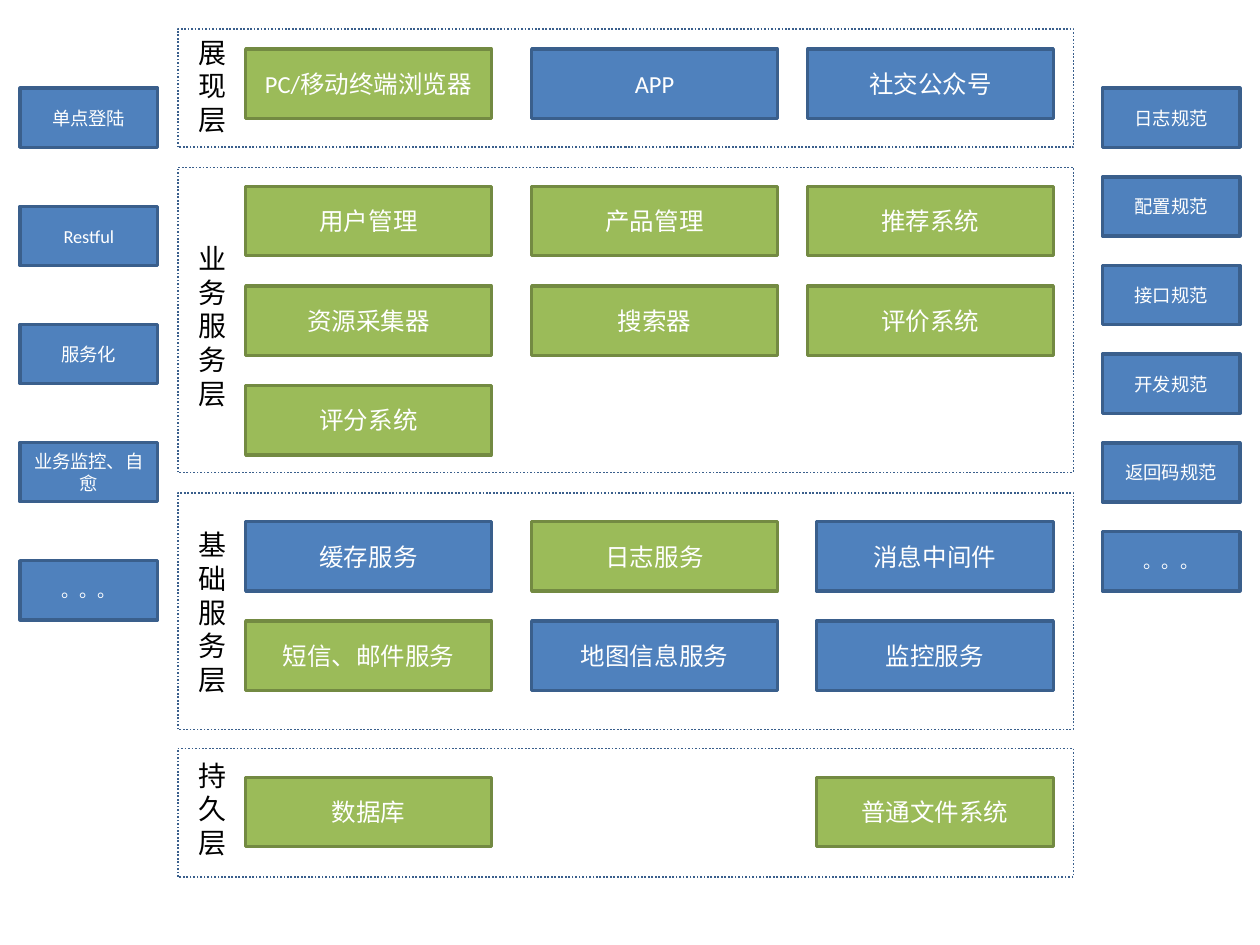
from collections import namedtuple

from pptx import Presentation
from pptx.dml.color import RGBColor
from pptx.enum.dml import MSO_LINE_DASH_STYLE as Dash
from pptx.enum.shapes import MSO_SHAPE as Shape
from pptx.enum.text import MSO_ANCHOR as Anchor, PP_ALIGN as Align
from pptx.util import Inches, Pt

BLUE = RGBColor(0x4F, 0x81, 0xBD)
BLUE_EDGE = RGBColor(0x3A, 0x5F, 0x8C)
GREEN = RGBColor(0x9B, 0xBB, 0x59)
GREEN_EDGE = RGBColor(0x73, 0x8A, 0x42)
WHITE = RGBColor(0xFF, 0xFF, 0xFF)
BLACK = RGBColor(0x00, 0x00, 0x00)
EDGES = {BLUE: BLUE_EDGE, GREEN: GREEN_EDGE}

Box = namedtuple("Box", "left top width height")
Layer = namedtuple("Layer", "box label label_top label_height align first_row last_width rows")

LAYERS = [
    Layer(Box(1.41, 0.23, 7.11, 0.94), ["展现层"], 0, 0.91, Align.LEFT, 0.16, 1.95,
          [[("PC/移动终端浏览器", GREEN), ("APP", BLUE), ("社交公众号", BLUE)]]),
    Layer(Box(1.41, 1.33, 7.11, 2.42), ["业务", "服务层"], 0.54, 1.45, Align.LEFT, 0.15, 1.95,
          [[("用户管理", GREEN), ("产品管理", GREEN), ("推荐系统", GREEN)],
           [("资源采集器", GREEN), ("搜索器", GREEN), ("评价系统", GREEN)],
           [("评分系统", GREEN)]]),
    Layer(Box(1.41, 3.91, 7.11, 1.88), ["基础服务层"], 0.23, 1.45, Align.LEFT, 0.23, 1.88,
          [[("缓存服务", BLUE), ("日志服务", GREEN), ("消息中间件", BLUE)],
           [("短信、邮件服务", GREEN), ("地图信息服务", BLUE), ("监控服务", BLUE)]]),
    Layer(Box(1.41, 5.94, 7.11, 1.02), ["持久层"], 0.03, 0.91, Align.CENTER, 0.23, 1.88,
          [[("数据库", GREEN), None, ("普通文件系统", GREEN)]]),
]
PRACTICES = ["单点登陆", "Restful", "服务化", "业务监控、自愈", "。。。"]
STANDARDS = ["日志规范", "配置规范", "接口规范", "开发规范", "返回码规范", "。。。"]

TILE_WIDTH, TILE_HEIGHT, ROW_PITCH = 1.95, 0.55, 0.79
FIRST_COLUMN, MIDDLE_COLUMN, RIGHT_MARGIN = 0.54, 2.81, 0.16
SIDE_HEIGHT = 0.47


def write(para, text, size, color, align):
    """Add one formatted run of text to a paragraph."""
    para.alignment = align
    span = para.add_run()
    span.text = text
    span.font.name = "Calibri"
    span.font.size = Pt(size)
    span.font.color.rgb = color


def add_rectangle(page, box, edge, weight):
    """Add an outlined rectangle without a shadow."""
    shape = page.shapes.add_shape(Shape.RECTANGLE, *map(Inches, box))
    shape.shadow.inherit = False
    shape.line.color.rgb = edge
    shape.line.width = Pt(weight)
    return shape


def add_tile(page, box, text, size, fill):
    """Add a filled rectangle with centred white text."""
    tile = add_rectangle(page, box, EDGES[fill], 2)
    tile.fill.solid()
    tile.fill.fore_color.rgb = fill
    frame = tile.text_frame
    frame.word_wrap = True
    frame.vertical_anchor = Anchor.MIDDLE
    write(frame.paragraphs[0], text, size, WHITE, Align.CENTER)


def add_label(page, box, lines, align):
    """Add a layer name in a box one character wide."""
    frame = page.shapes.add_textbox(*map(Inches, box)).text_frame
    frame.word_wrap = True
    for index, line in enumerate(lines):
        para = frame.add_paragraph() if index else frame.paragraphs[0]
        write(para, line, 16, BLACK, align)


def add_layer(page, layer):
    """Add a dotted layer frame with its name and grid of tiles."""
    box = layer.box
    border = add_rectangle(page, box, BLUE_EDGE, 1)
    border.fill.background()
    border.line.dash_style = Dash.ROUND_DOT
    label_box = Box(box.left + 0.07, box.top + layer.label_top, 0.39, layer.label_height)
    add_label(page, label_box, layer.label, layer.align)
    last_column = box.width - RIGHT_MARGIN - layer.last_width
    columns = [(FIRST_COLUMN, TILE_WIDTH), (MIDDLE_COLUMN, TILE_WIDTH),
               (last_column, layer.last_width)]
    for index, row in enumerate(layer.rows):
        top = box.top + layer.first_row + index * ROW_PITCH
        for (left, width), tile in zip(columns, row):
            if tile:
                text, fill = tile
                add_tile(page, Box(box.left + left, top, width, TILE_HEIGHT), text, 14, fill)


def add_side_column(page, box, names):
    """Spread small blue tiles evenly down a column."""
    pitch = (box.height - SIDE_HEIGHT) / (len(names) - 1)
    for index, name in enumerate(names):
        tile_box = Box(box.left, box.top + index * pitch, box.width, SIDE_HEIGHT)
        add_tile(page, tile_box, name, 10.5, BLUE)


def main():
    """Build the architecture slide and save it."""
    deck = Presentation()
    deck.slide_width, deck.slide_height = Inches(10), Inches(7.5)
    page = deck.slides.add_slide(deck.slide_layouts[6])
    for layer in LAYERS:
        add_layer(page, layer)
    add_side_column(page, Box(0.16, 0.7, 1.09, 4.22), PRACTICES)
    add_side_column(page, Box(8.75, 0.7, 1.09, 3.99), STANDARDS)
    deck.save("out.pptx")


if __name__ == "__main__":
    main()
